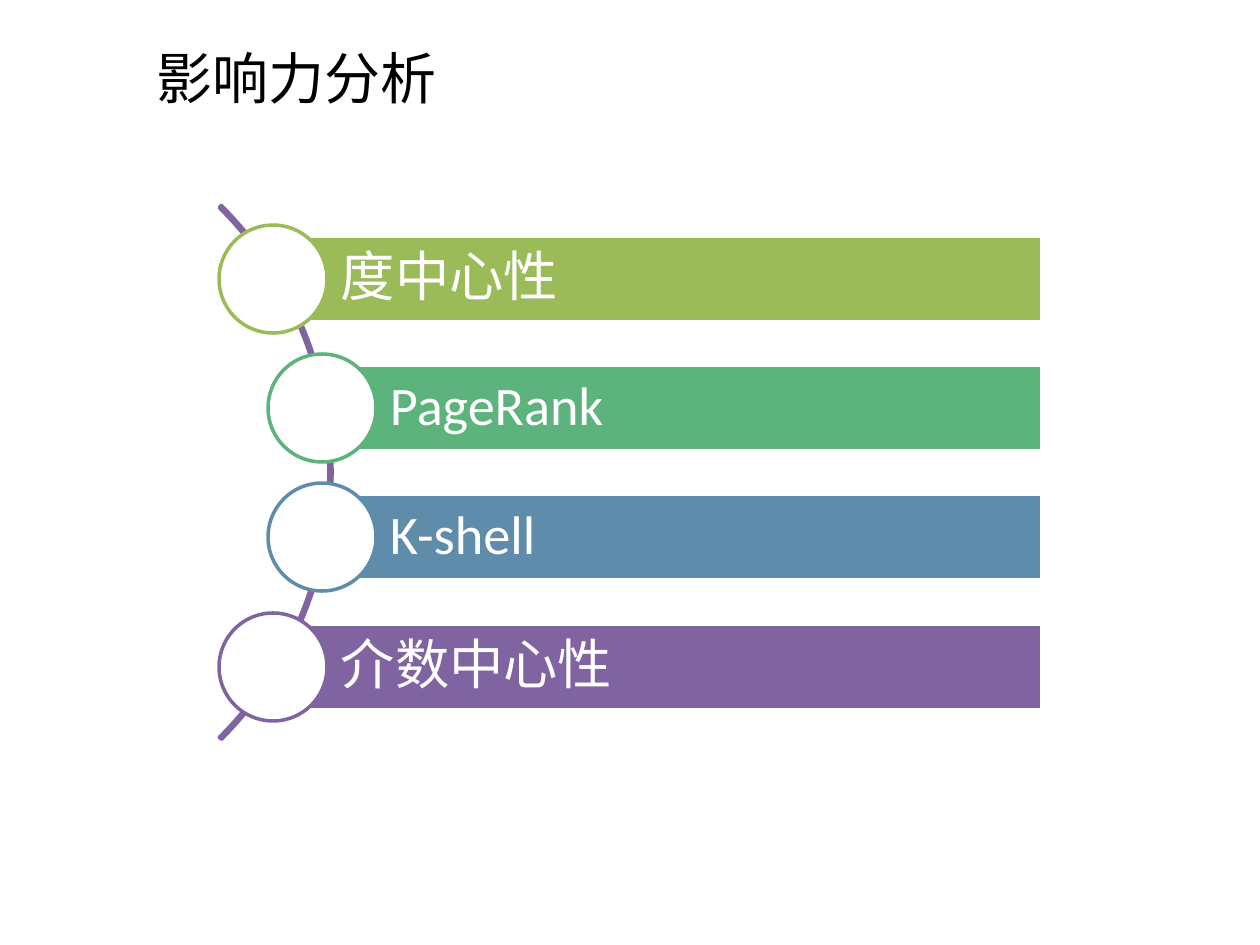
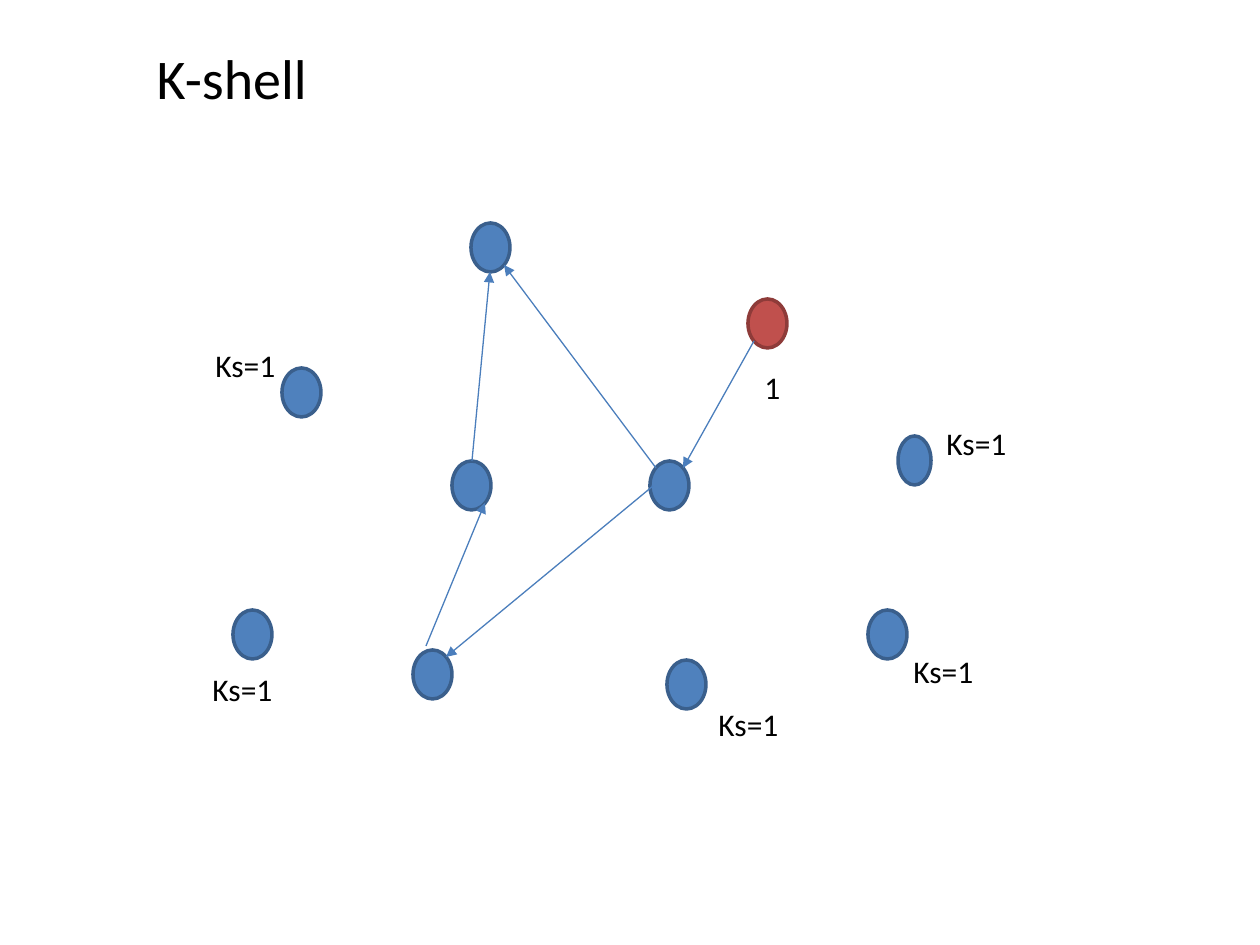
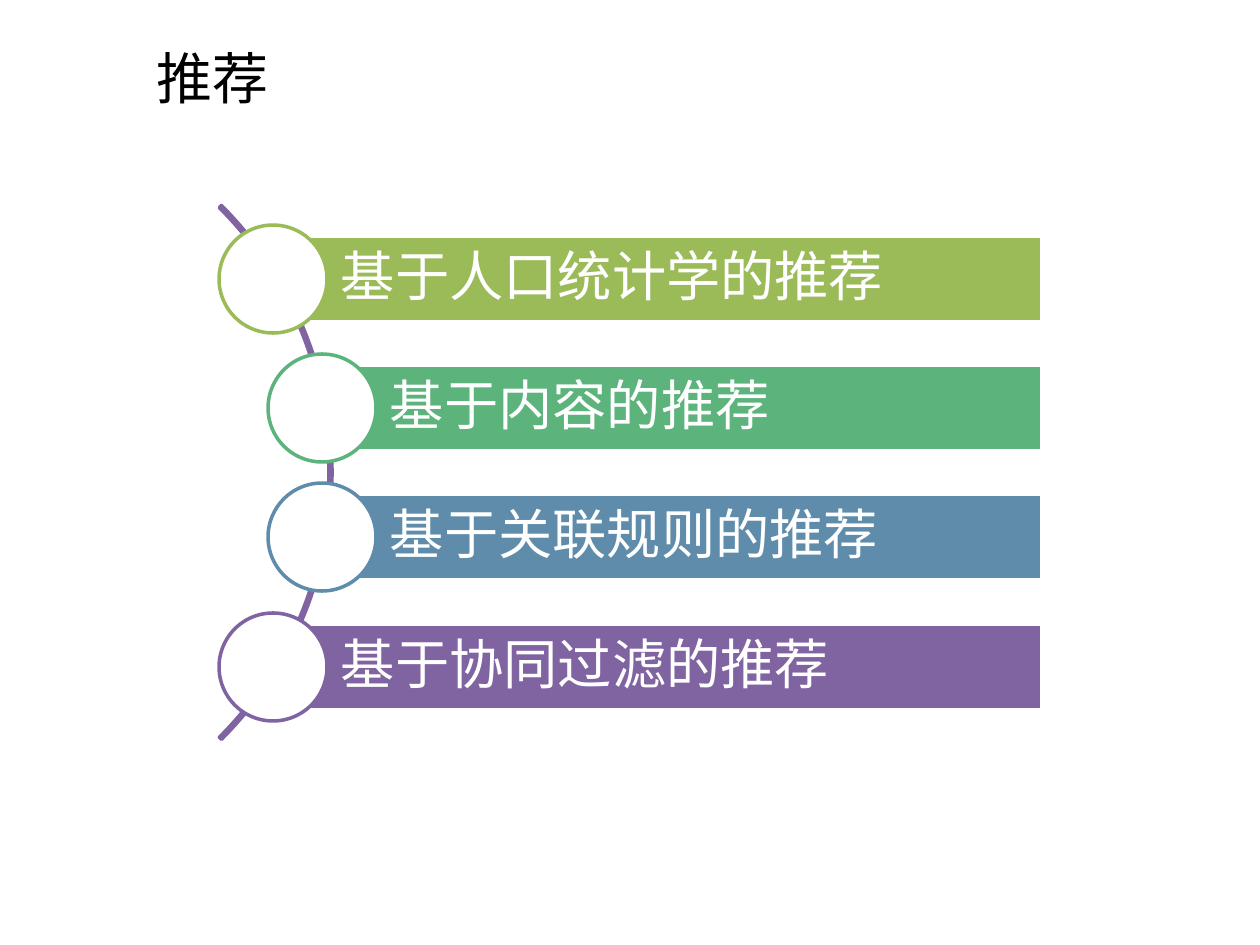
"""Build three slides on influence, K-shell and recommendation."""
from collections import namedtuple
from dataclasses import dataclass
from math import cos, pi, sin

from lxml.etree import SubElement
from pptx import Presentation
from pptx.dml.color import RGBColor
from pptx.enum.shapes import MSO_CONNECTOR as Link, MSO_SHAPE as Kind
from pptx.enum.text import MSO_ANCHOR as Anchor, MSO_AUTO_SIZE as Fit, PP_ALIGN as Align
from pptx.oxml.ns import qn
from pptx.util import Pt

Box = namedtuple("Box", "x y w h")


@dataclass(frozen=True)
class Theme:
    """Colours, font and sizes shared by all slides."""
    font: str = "Calibri"
    ink: str = "000000"
    white: str = "FFFFFF"
    bars: tuple = ("9BBB59", "5CB37C", "608CAB", "8064A2")
    arc: str = "8064A2"
    node: tuple = ("4F81BD", "3A5F8C")
    seed: tuple = ("C0504D", "8E3B39")
    arrow: str = "4B7EBC"
    title: int = 32
    item: int = 31
    label: int = 18
    edge: float = 2
    thin: float = 0.75


THEME = Theme()
HEAD = Box(144, 37, 635, 81)
LIST = Box(273, 236, 769, 474)
GRAPH = Box(200, 220, 840, 500)

NODES = {
    "top": Box(271, 3, 39, 49),
    "south": Box(467, 440, 39, 49),
    "foot": Box(213, 430, 39, 49),
    "west": Box(33, 390, 39, 49),
    "seed": Box(548, 79, 39, 49),
    "hub": Box(450, 241, 39, 49),
    "mid": Box(252, 241, 39, 49),
    "north": Box(82, 148, 39, 49),
    "low": Box(668, 390, 39, 49),
    "east": Box(698, 216, 33, 49),
}
LABELS = [
    ("Ks=1", Box(3, 120, 199, 50)),
    ("Ks=1", Box(701, 426, 126, 50)),
    ("Ks=1", Box(506, 479, 93, 50)),
    ("Ks=1", Box(0, 444, 122, 50)),
    ("Ks=1", Box(734, 198, 93, 50)),
    ("1", Box(552, 142, 93, 50)),
]


def px(size):
    """Turn pixels into EMU."""
    return round(size * 914400 / 126)


def place(box):
    """Turn a pixel box into EMU lengths."""
    return [px(size) for size in box]


def shift(box, base):
    """Move a box from a region's own origin onto the slide."""
    return box._replace(x=base.x + box.x, y=base.y + box.y)


def rgb(code):
    """Read a hex colour."""
    return RGBColor.from_string(code)


def write(frame, text, size, color):
    """Put one left-aligned line into a text frame."""
    frame.text = text
    frame.word_wrap = True
    para = frame.paragraphs[0]
    para.alignment = Align.LEFT
    para.font.name = THEME.font
    para.font.size = Pt(size)
    para.font.color.rgb = rgb(color)
    return para


def draw(slide, kind, box, fill, edge):
    """Add a flat shape, unfilled when fill is None."""
    shape = slide.shapes.add_shape(kind, *place(box))
    shape.shadow.inherit = False
    if fill:
        shape.fill.solid()
        shape.fill.fore_color.rgb = rgb(fill)
    else:
        shape.fill.background()
    shape.line.color.rgb = rgb(edge)
    shape.line.width = Pt(THEME.edge)
    return shape


def start(deck, text):
    """Add a slide with its title."""
    slide = deck.slides.add_slide(deck.slide_layouts[5])
    title = slide.shapes.title
    title.left, title.top, title.width, title.height = place(HEAD)
    frame = title.text_frame
    write(frame, text, THEME.title, THEME.ink)
    frame.vertical_anchor = Anchor.TOP
    frame.auto_size = Fit.SHAPE_TO_FIT_TEXT
    return slide


def curve(slide, box):
    """Draw the arc that joins the list's circles."""
    side = 755
    ring = Box(box.x - 696, box.y + (box.h - side) // 2, side, side)
    arc = draw(slide, Kind.BLOCK_ARC, ring, None, THEME.arc)
    for spot, value in enumerate((189, 27, 0.004)):
        arc.adjustments[spot] = value


def bar(slide, box, text, color):
    """Draw one list bar with a circle on its left end."""
    shape = draw(slide, Kind.RECTANGLE, box, color, THEME.white)
    frame = shape.text_frame
    frame.margin_left = px(68)
    frame.margin_top = frame.margin_right = frame.margin_bottom = px(11)
    frame.vertical_anchor = Anchor.MIDDLE
    write(frame, text, THEME.item, THEME.white).line_spacing = 0.9
    side = 108
    dot = Box(box.x - side // 2, box.y + (box.h - side) // 2, side, side)
    draw(slide, Kind.OVAL, dot, THEME.white, color)


def bars(slide, box, items):
    """Space the bars evenly, with the inner ones set in along the arc."""
    curve(slide, box)
    tall, last = 86, len(items) - 1
    for row, (text, color) in enumerate(zip(items, THEME.bars)):
        inset = 49 if 0 < row < last else 0
        top = box.y + (box.h - tall) * row // last
        bar(slide, Box(box.x + inset, top, box.w - inset, tall), text, color)


def rim(name, turn):
    """Find a point on a node's rim, in eighths clockwise from the right."""
    node, angle = NODES[name], turn * pi / 4
    return (round(node.x + node.w / 2 * (1 + cos(angle))),
            round(node.y + node.h / 2 * (1 + sin(angle))))


def arrow(slide, box, tail, tip):
    """Draw a thin arrow between two points of the graph."""
    ends = [px(a + b) for point in (tail, tip) for a, b in zip(point, box[:2])]
    line = slide.shapes.add_connector(Link.STRAIGHT, *ends)
    line.line.color.rgb = rgb(THEME.arrow)
    line.line.width = Pt(THEME.thin)
    props = line._element.spPr
    SubElement(props.find(qn("a:ln")), qn("a:tailEnd"), type="triangle")
    SubElement(props, qn("a:effectLst"))


def graph(slide, box):
    """Draw the nodes, arrows and labels of the graph."""
    for name, node in NODES.items():
        fill, edge = THEME.seed if name == "seed" else THEME.node
        draw(slide, Kind.OVAL, shift(node, box), fill, edge)
    for tail, tip in (
        (rim("mid", 6), rim("top", 2)),
        ((226, 426), rim("mid", 1)),
        ((453, 266), rim("foot", 7)),
        (rim("seed", 3), rim("hub", 7)),
        (rim("hub", 5), rim("top", 1)),
    ):
        arrow(slide, box, tail, tip)
    for text, spot in LABELS:
        label = slide.shapes.add_textbox(*place(shift(spot, box)))
        write(label.text_frame, text, THEME.label, THEME.ink)
        label.text_frame.auto_size = Fit.SHAPE_TO_FIT_TEXT


def main():
    """Build and save the deck."""
    deck = Presentation()
    deck.slide_width, deck.slide_height = px(1260), px(945)
    bars(start(deck, "影响力分析"), LIST,
         ["度中心性", "PageRank", "K-shell", "介数中心性"])
    graph(start(deck, "K-shell"), GRAPH)
    bars(start(deck, "推荐"), LIST,
         ["基于人口统计学的推荐", "基于内容的推荐",
          "基于关联规则的推荐", "基于协同过滤的推荐"])
    deck.save("out.pptx")


if __name__ == "__main__":
    main()
